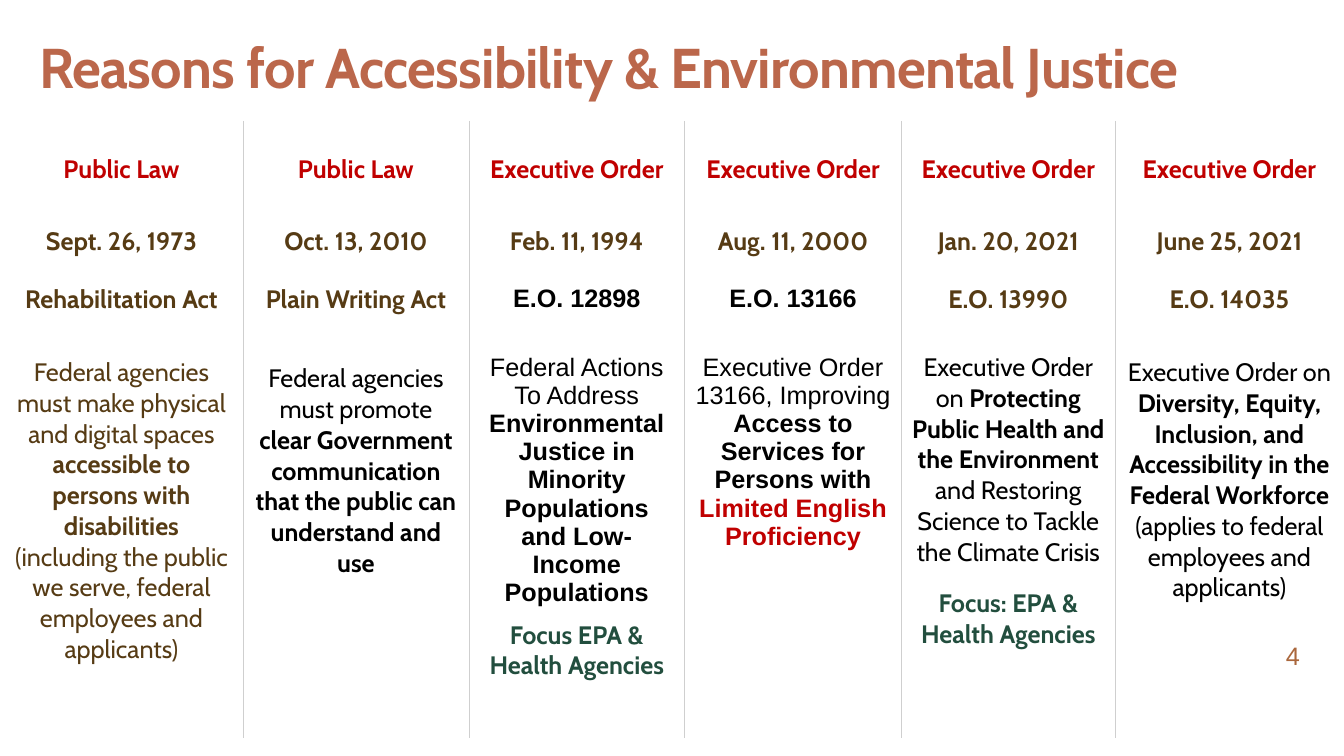
from lxml.etree import SubElement
from pptx import Presentation
from pptx.dml.color import RGBColor
from pptx.enum.text import MSO_ANCHOR as Anchor, PP_ALIGN as Align
from pptx.oxml.ns import qn
from pptx.util import Pt

THEME = {
    "heading": "BB674B", "kind": "C00000", "brown": "563B14", "black": "000000",
    "focus": "224E3E", "number": "AA673C", "rule": "CFCFCF",
    "cabin": "Cabin", "arial": "Arial",
    "title_size": 40, "body_size": 18, "rule_width": 0.5,
}

TITLE = "Reasons for Accessibility & Environmental Justice"
PAGE_NUMBER = "4"
LAWS = [
    {"kind": "Public Law", "date": "Sept. 26, 1973", "width": 173.5,
     "name": ("Rehabilitation Act", "cabin", "brown"), "gap": 30,
     "summary": [("Federal agencies must make physical and digital spaces ", "brown", False),
                 ("accessible to persons with disabilities", "brown", True),
                 (" (including the public we serve, federal employees and applicants)", "brown", False)]},
    {"kind": "Public Law", "date": "Oct. 13, 2010", "width": 161.5,
     "name": ("Plain Writing Act", "cabin", "brown"), "gap": 34.5,
     "summary": [("Federal agencies must promote ", "black", False),
                 ("clear Government communication that the public can understand and use", "black", True)]},
    {"kind": "Executive Order", "date": "Feb. 11, 1994", "width": 154,
     "name": ("E.O. 12898", "arial", "black"), "gap": 29,
     "summary": [("Federal Actions To Address ", "black", False),
                 ("Environmental Justice in Minority Populations and Low-Income Populations", "black", True)],
     "focus": ("Focus EPA & Health Agencies", 9)},
    {"kind": "Executive Order", "date": "Aug. 11, 2000", "width": 155,
     "name": ("E.O. 13166", "arial", "black"), "gap": 29,
     "summary": [("Executive Order 13166, Improving ", "black", False),
                 ("Access to Services for Persons with ", "black", True),
                 ("Limited English Proficiency", "kind", True)]},
    {"kind": "Executive Order", "date": "Jan. 20, 2021", "width": 152.5,
     "name": ("E.O. 13990", "cabin", "brown"), "gap": 26.5,
     "summary": [("Executive Order on ", "black", False),
                 ("Protecting Public Health and the Environment ", "black", True),
                 ("and Restoring Science to Tackle the Climate Crisis", "black", False)],
     "focus": ("Focus: EPA & Health Agencies", 14.5)},
    {"kind": "Executive Order", "date": "June 25, 2021", "width": 163.5,
     "name": ("E.O. 14035", "cabin", "brown"), "gap": 30,
     "summary": [("Executive Order on ", "black", False),
                 ("Diversity, Equity, Inclusion, and Accessibility in the Federal Workforce ", "black", True),
                 ("(applies to federal employees and applicants)", "black", False)]},
]
ROW_HEIGHTS = [70, 32.4, 338.4]
TABLE_TOP = 86.4


def style(run, face, colour, bold=True, size="body_size"):
    run.font.name = THEME[face]
    run.font.size = Pt(THEME[size])
    run.font.bold = bold
    run.font.color.rgb = RGBColor.from_string(THEME[colour])


def write(paragraph, pieces, face, gap=0):
    paragraph.alignment = Align.CENTER
    if gap:
        paragraph.space_before = Pt(gap)
    for words, colour, bold in pieces:
        run = paragraph.add_run()
        run.text = words
        style(run, face, colour, bold)


def rule_sides(cell, sides):
    properties = cell._tc.get_or_add_tcPr()
    for side in ("lnL", "lnR", "lnT", "lnB"):
        line = SubElement(properties, qn(f"a:{side}"), w=str(Pt(THEME["rule_width"])))
        if side in sides:
            paint = SubElement(line, qn("a:solidFill"))
            SubElement(paint, qn("a:srgbClr"), val=THEME["rule"])
        else:
            SubElement(line, qn("a:noFill"))
    cell.fill.background()


def add_label(slide, words, left, top, width, height, face, colour, bold, size):
    box = slide.shapes.add_textbox(Pt(left), Pt(top), Pt(width), Pt(height))
    box.text_frame.word_wrap = True
    box.text_frame.text = words
    run = box.text_frame.paragraphs[0].runs[0]
    style(run, face, colour, bold, size)
    return box.text_frame, run


def add_title(slide):
    frame, run = add_label(slide, TITLE, 28, 23, 916.5, 48.2, "cabin", "heading", True, "title_size")
    frame.vertical_anchor = Anchor.BOTTOM
    frame.margin_left = frame.margin_right = frame.margin_top = frame.margin_bottom = 0
    run._r.get_or_add_rPr().set("spc", "-50")


def add_laws(slide):
    total = sum(law["width"] for law in LAWS)
    table = slide.shapes.add_table(len(ROW_HEIGHTS), len(LAWS), Pt(0), Pt(TABLE_TOP),
                                   Pt(total), Pt(sum(ROW_HEIGHTS))).table
    table.first_row = table.horz_banding = False
    for row, height in zip(table.rows, ROW_HEIGHTS):
        row.height = Pt(height)
    for column, law in enumerate(LAWS):
        table.columns[column].width = Pt(law["width"])
        sides = [side for side, inner in (("lnL", column > 0), ("lnR", column < len(LAWS) - 1)) if inner]
        kind, date, detail = (table.cell(row, column) for row in range(len(ROW_HEIGHTS)))
        for cell in (kind, date, detail):
            rule_sides(cell, sides)
        kind.vertical_anchor = date.vertical_anchor = Anchor.MIDDLE
        detail.margin_top = Pt(14.4)
        write(kind.text_frame.paragraphs[0], [(law["kind"], "kind", True)], "cabin")
        write(date.text_frame.paragraphs[0], [(law["date"], "brown", True)], "cabin")
        name, face, colour = law["name"]
        write(detail.text_frame.paragraphs[0], [(name, colour, True)], face)
        write(detail.text_frame.add_paragraph(), law["summary"], face, law["gap"])
        if "focus" in law:
            focus, gap = law["focus"]
            write(detail.text_frame.add_paragraph(), [(focus, "focus", True)], "cabin", gap)


def main():
    deck = Presentation()
    deck.slide_width, deck.slide_height = Pt(960), Pt(540)
    slide = deck.slides.add_slide(deck.slide_layouts[6])
    add_title(slide)
    add_laws(slide)
    add_label(slide, PAGE_NUMBER, 911.5, 453.6, 33, 29, "arial", "number", False, "body_size")
    deck.save("out.pptx")


if __name__ == "__main__":
    main()
